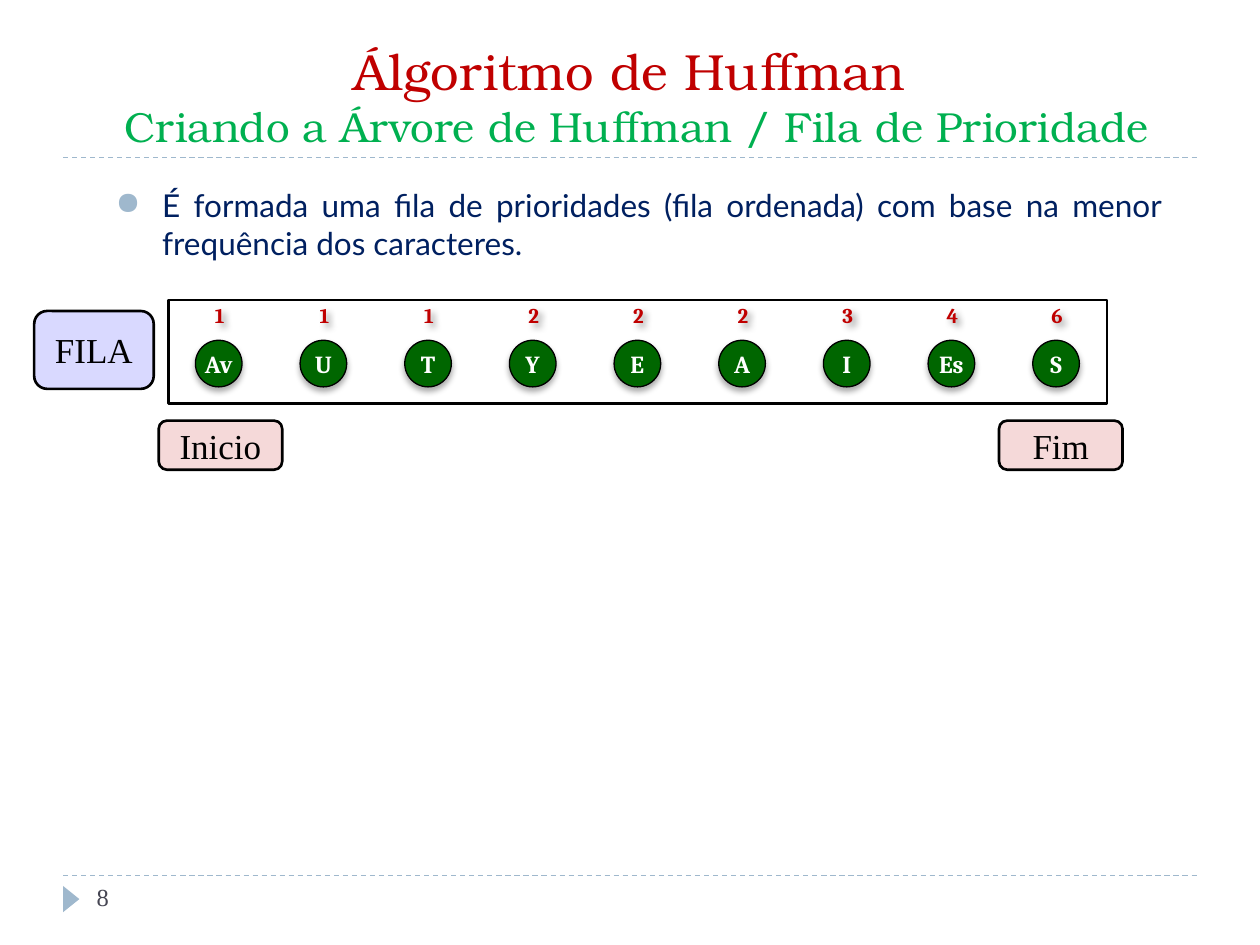
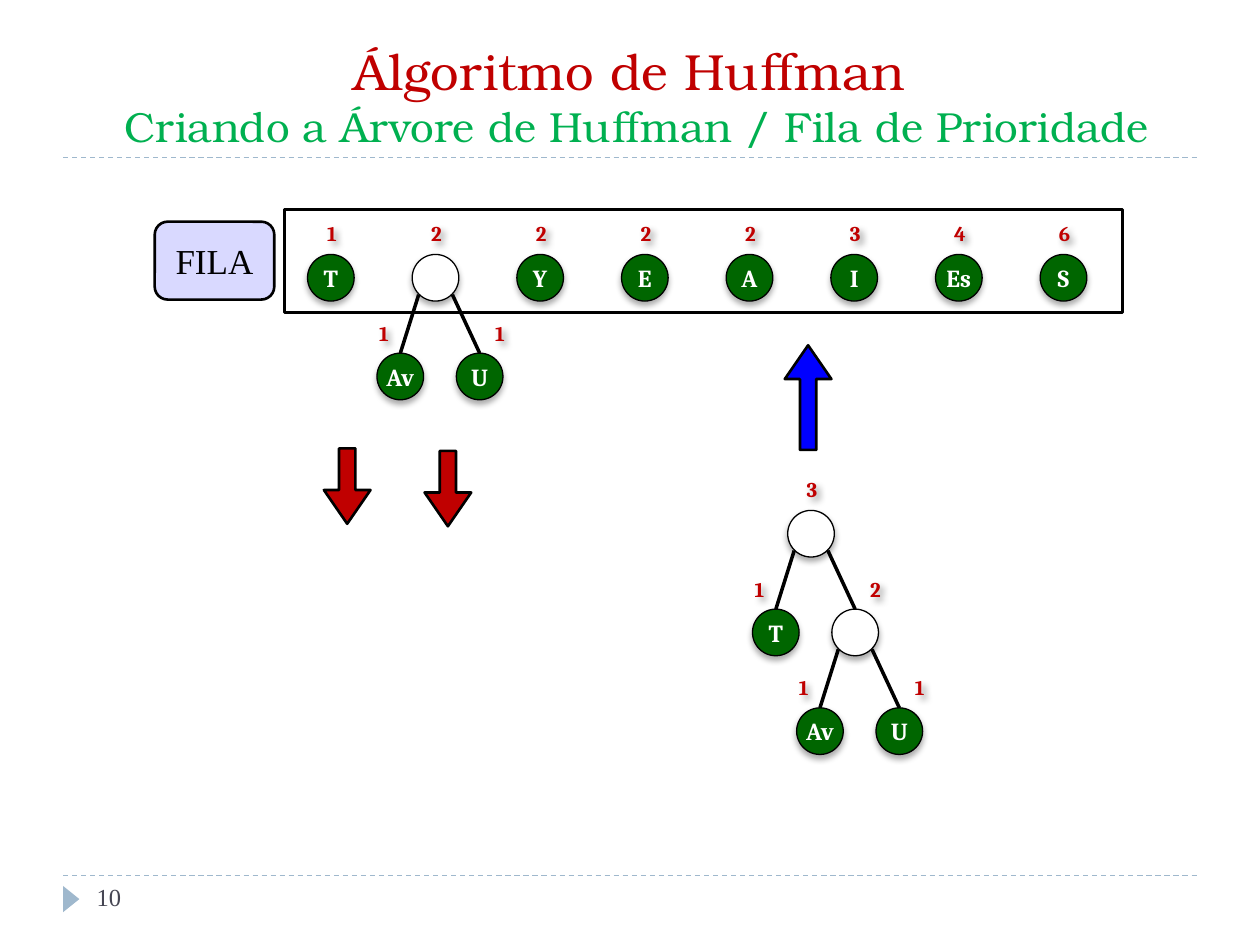
from dataclasses import dataclass

from lxml.etree import SubElement
from pptx import Presentation
from pptx.dml.color import RGBColor
from pptx.enum.dml import MSO_LINE
from pptx.enum.shapes import MSO_CONNECTOR, MSO_SHAPE as SHAPE
from pptx.enum.text import MSO_ANCHOR as ANCHOR, MSO_AUTO_SIZE, PP_ALIGN as ALIGN
from pptx.oxml.ns import qn
from pptx.util import Cm, Pt


@dataclass(frozen=True)
class Theme:
    """Colours, fonts and type sizes shared by the slides."""
    red: str = "C00000"
    green: str = "00B050"
    leaf: str = "006600"
    blue: str = "0000FF"
    navy: str = "002060"
    accent: str = "9FB8CD"
    grey: str = "464653"
    black: str = "000000"
    white: str = "FFFFFF"
    title_font: str = "TeX Gyre Bonum"
    body_font: str = "Lato"
    node_font: str = "Cambria"
    tag_font: str = "Times New Roman"
    title_size: int = 29
    subtitle_size: int = 24
    tag_size: int = 20
    body_size: int = 18
    node_size: int = 14
    weight_size: int = 12


@dataclass(frozen=True)
class Node:
    """A weighted Huffman node, a leaf when it has no children."""
    weight: int
    letter: str = ""
    children: tuple = ()


def merge(left, right):
    """Join two nodes under a parent that carries their total weight."""
    return Node(left.weight + right.weight, children=(left, right))


def write(frame, text, *, size, font, color, bold=False, align=ALIGN.LEFT,
          anchor=ANCHOR.TOP, inset=(0.25, 0.13)):
    """Append a formatted run to the first paragraph of a text frame."""
    frame.word_wrap = True
    frame.vertical_anchor = anchor
    frame.margin_left = frame.margin_right = Cm(inset[0])
    frame.margin_top = frame.margin_bottom = Cm(inset[1])
    paragraph = frame.paragraphs[0]
    paragraph.alignment = align
    run = paragraph.add_run()
    run.text = text
    run.font.size, run.font.name, run.font.bold = Pt(size), font, bold
    run.font.color.rgb = RGBColor.from_string(color)
    return paragraph


def cast_shadow(shape, blur, distance, angle, opacity):
    """Give a shape a soft black outer shadow."""
    shape.shadow.inherit = False
    effects = shape.element.spPr.find(qn("a:effectLst"))
    outer = SubElement(effects, qn("a:outerShdw"), blurRad=str(Pt(blur)),
                       dist=str(Pt(distance)), dir=str(angle * 60000),
                       algn="ctr", rotWithShape="0")
    black = SubElement(outer, qn("a:srgbClr"), val=Theme.black)
    SubElement(black, qn("a:alpha"), val=str(opacity * 1000))


class Deck:
    """Holds the style and the current slide, and draws each kind of element."""
    NODE = 0.94
    PITCH = 2.11
    LEVEL = 1.99
    BRANCHES = ((-0.71, 0.13, -0.38), (0.89, 0.81, 0.36))

    def __init__(self, theme):
        """Start an empty 4:3 presentation."""
        self.theme = theme
        self.show = Presentation()
        self.show.slide_width, self.show.slide_height = Cm(25.4), Cm(19.05)

    def start(self, number):
        """Add a slide with its title, rules and page number."""
        t = self.theme
        self.slide = self.show.slides.add_slide(self.show.slide_layouts[6])
        self.shapes = self.slide.shapes
        for y in (17.65, 3.18):
            self.line((1.27, y), (24.13, y), t.accent, 0.75, MSO_LINE.DASH)
        self.shape(SHAPE.ISOSCELES_TRIANGLE, 1.17, 17.96, 0.53, 0.33,
                   fill=t.accent).rotation = 90
        title = self.text_box(1.27, 0.64, 22.86, 2.54)
        style = dict(font=t.title_font, align=ALIGN.CENTER, anchor=ANCHOR.BOTTOM)
        write(title, "Álgoritmo de Huffman", size=t.title_size, color=t.red,
              **style).add_line_break()
        write(title, " Criando a Árvore de Huffman / Fila de Prioridade",
              size=t.subtitle_size, color=t.green, **style)
        write(self.text_box(1.7, 17.65, 5.51, 1.02), str(number),
              size=t.node_size, font=t.tag_font, color=t.grey)

    def text_box(self, x, y, width, height):
        """Add a text box and return its frame."""
        return self.shapes.add_textbox(Cm(x), Cm(y), Cm(width), Cm(height)).text_frame

    def shape(self, kind, x, y, width, height, fill=None, opacity=100, outline=0):
        """Add a preset shape with an optional fill and black outline."""
        shape = self.shapes.add_shape(kind, Cm(x), Cm(y), Cm(width), Cm(height))
        shape.shadow.inherit = False
        if fill:
            shape.fill.solid()
            shape.fill.fore_color.rgb = RGBColor.from_string(fill)
        else:
            shape.fill.background()
        if opacity < 100:
            color = shape.element.spPr.find(qn("a:solidFill"))[0]
            SubElement(color, qn("a:alpha"), val=str(opacity * 1000))
        if outline:
            shape.line.color.rgb = RGBColor.from_string(self.theme.black)
            shape.line.width = Pt(outline)
        else:
            shape.line.fill.background()
        return shape

    def line(self, start, end, color, width, dash=None):
        """Add a straight line without shadow."""
        line = self.shapes.add_connector(
            MSO_CONNECTOR.STRAIGHT, *map(Cm, start), *map(Cm, end))
        line.line.color.rgb = RGBColor.from_string(color)
        line.line.width = Pt(width)
        if dash:
            line.line.dash_style = dash
        SubElement(line.element.spPr, qn("a:effectLst"))

    def bullet(self, text, x, y, width, height):
        """Add a justified paragraph with a round bullet."""
        t = self.theme
        paragraph = write(self.text_box(x, y, width, height), text, size=t.body_size,
                          font=t.body_font, color=t.navy, align=ALIGN.JUSTIFY)
        layout = paragraph._p.get_or_add_pPr()
        layout.set("marL", str(Cm(0.94)))
        layout.set("indent", str(Cm(-0.94)))
        SubElement(SubElement(layout, qn("a:buClr")), qn("a:srgbClr"), val=t.accent)
        SubElement(layout, qn("a:buChar"), char="●")

    def tag(self, text, x, y, width, height, fill):
        """Add a rounded, tinted caption."""
        t = self.theme
        tag = self.shape(SHAPE.FLOWCHART_ALTERNATE_PROCESS, x, y, width, height,
                         fill, opacity=15, outline=1.5)
        write(tag.text_frame, text, size=t.tag_size, font=t.tag_font, color=t.black,
              align=ALIGN.CENTER, anchor=ANCHOR.MIDDLE)

    def arrow(self, x, y, height, fill, rotation=0):
        """Add a block arrow that points down unless rotated."""
        arrow = self.shape(SHAPE.DOWN_ARROW, x, y, self.NODE, height, fill, outline=1.5)
        arrow.adjustments[0], arrow.adjustments[1] = 0.35, 0.724
        arrow.rotation = rotation

    def node(self, node, x, y, shift=-0.03, rise=0.79):
        """Draw a node, its weight and, below it, its children."""
        t = self.theme
        centred = dict(font=t.node_font, bold=True, align=ALIGN.CENTER,
                       anchor=ANCHOR.MIDDLE)
        circle = self.shape(SHAPE.OVAL, x, y, self.NODE, self.NODE,
                            t.leaf if node.letter else t.white, outline=0.75)
        cast_shadow(circle, 3.5, 2.2, 90, 32)
        if node.letter:
            write(circle.text_frame, node.letter, size=t.node_size, color=t.white,
                  inset=(0, 0), **centred)
        weight = self.shapes.add_textbox(Cm(x + shift), Cm(y - rise), Cm(1.04), Cm(0.76))
        cast_shadow(weight, 4, 3, 45, 40)
        write(weight.text_frame, str(node.weight), size=t.weight_size, color=t.red,
              **centred)
        weight.text_frame.auto_size = MSO_AUTO_SIZE.SHAPE_TO_FIT_TEXT
        for child, (step, joint, child_shift) in zip(node.children, self.BRANCHES):
            child_x, child_y = x + step, y + self.LEVEL
            self.line((child_x + self.NODE / 2, child_y), (x + joint, y + 0.81),
                      t.black, 2)
            self.node(child, child_x, child_y, child_shift)

    def tree(self, root, x, y, rise=0.81):
        """Draw a tree as one group."""
        self.shapes = self.slide.shapes.add_group_shape().shapes
        self.node(root, x, y, rise=rise)
        self.shapes = self.slide.shapes

    def queue(self, nodes, frame, x, y, rise):
        """Draw the framed priority queue at an equal pitch."""
        self.shape(SHAPE.RECTANGLE, *frame, outline=1.5)
        for place, node in enumerate(nodes):
            draw = self.tree if node.children else self.node
            draw(node, x + place * self.PITCH, y, rise=rise)


def main():
    """Build the two slides and save them."""
    theme = Theme()
    deck = Deck(theme)
    av, u, t, *others = [Node(weight, letter) for letter, weight in (
        ("Av", 1), ("U", 1), ("T", 1), ("Y", 2), ("E", 2),
        ("A", 2), ("I", 3), ("Es", 4), ("S", 6))]
    pair = merge(av, u)

    deck.start(8)
    deck.queue([av, u, t, *others], (3.4, 6.05, 18.92, 2.08), 3.94, 6.86, rise=0.89)
    deck.bullet("É formada uma fila de prioridades (fila ordenada) com base na menor "
                "frequência dos caracteres.", 2.08, 3.63, 21.59, 1.83)
    deck.tag("FILA", 0.69, 6.27, 2.41, 1.57, theme.blue)
    for end, x in (("Inicio", 3.2), ("Fim", 20.14)):
        deck.tag(end, x, 8.48, 2.49, 0.99, theme.red)

    deck.start(10)
    deck.queue([t, pair, *others], (5.74, 4.22, 16.89, 2.08), 6.2, 5.13, rise=0.81)
    for x, y in ((6.53, 9.04), (8.56, 9.09)):
        deck.arrow(x, y, 1.52, theme.red)
    deck.tree(merge(t, pair), 15.88, 10.29)
    deck.arrow(15.82, 6.96, 2.11, theme.blue, rotation=180)
    deck.tag("FILA", 3.12, 4.47, 2.41, 1.57, theme.blue)

    deck.show.save("out.pptx")


main()
